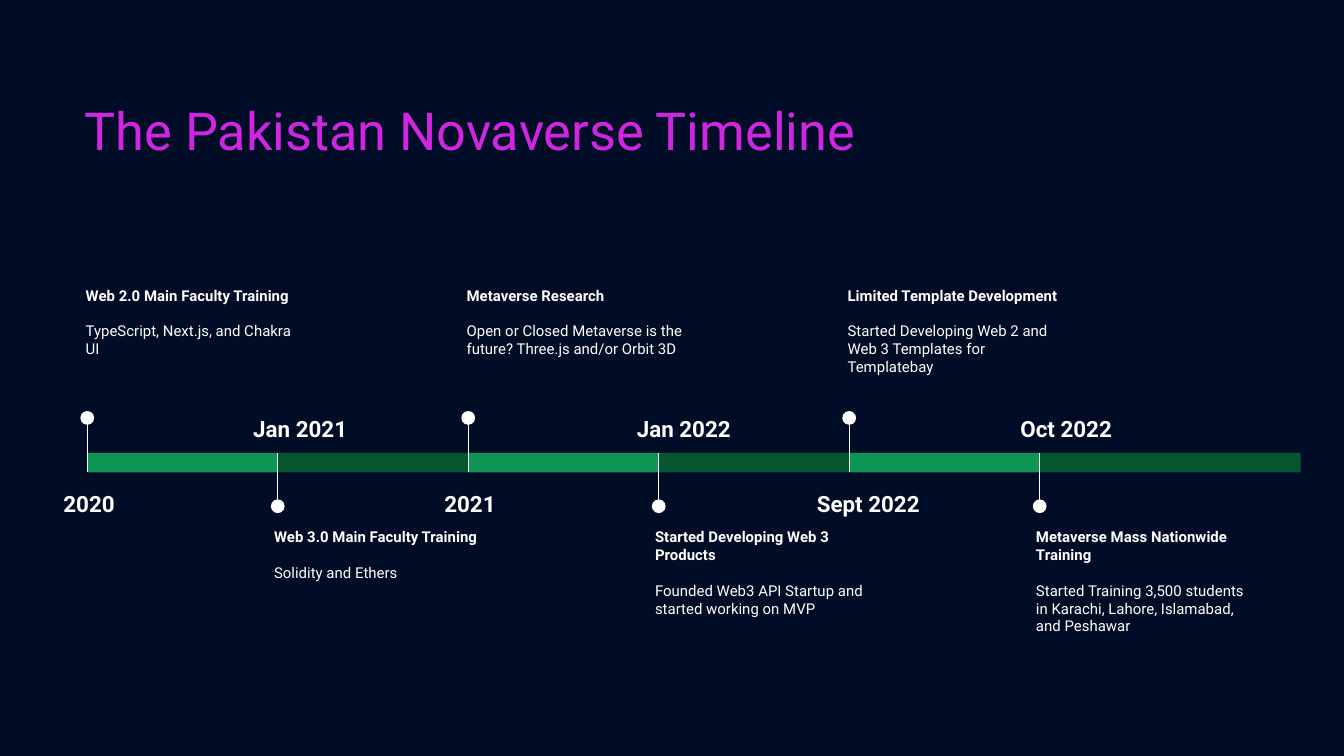
import dataclasses

import pptx
import pptx.dml.color
import pptx.enum.shapes
import pptx.enum.text
import pptx.oxml.ns
import pptx.util
from lxml import etree
from pptx.util import Cm

FONT = "Roboto"
NAVY, WHITE, MAGENTA = "010D26", "FFFFFF", "D026E1"
BAR_COLORS = ("0E9453", "085631")

# Timeline geometry in centimetres
BAR_LEFT, BAR_TOP, BAR_STEP, BAR_HEIGHT = 1.65, 8.56, 3.6, 0.37
LAST_BAR_WIDTH = 4.93
DOT_SIZE = 0.26


@dataclasses.dataclass
class Milestone:
    date: str
    date_offset: float
    date_width: float
    heading: str
    detail: str


@dataclasses.dataclass
class Side:
    date_top: float
    text_top: float
    text_offset: float
    dot_y: float
    pin_end: float


# Milestones alternate: described above the bar, then below it
SIDES = (
    Side(8.94, 5.16, -0.28, 7.9, BAR_TOP + BAR_HEIGHT),
    Side(7.52, 9.73, -0.32, 9.57, BAR_TOP),
)

MILESTONES = (
    Milestone("2020", -0.93, 1.93, "Web 2.0 Main Faculty Training",
              "TypeScript, Next.js, and Chakra UI"),
    Milestone("Jan 2021", -1.01, 2.87, "Web 3.0 Main Faculty Training",
              "Solidity and Ethers"),
    Milestone("2021", -0.93, 1.93, "Metaverse Research",
              "Open or Closed Metaverse is the future? Three.js and/or Orbit 3D"),
    Milestone("Jan 2022", -1.01, 2.97, "Started Developing Web 3 Products",
              "Founded Web3 API Startup and started working on MVP"),
    Milestone("Sept 2022", -1.01, 2.74, "Limited Template Development",
              "Started Developing Web 2 and Web 3 Templates for Templatebay"),
    Milestone("Oct 2022", -1.01, 3.02, "Metaverse Mass Nationwide Training",
              "Started Training 3,500 students in Karachi, Lahore, Islamabad, and Peshawar"),
)


def color(hex_value):
    return pptx.dml.color.RGBColor.from_string(hex_value)


def add_filled_shape(shapes, kind, left, top, width, height, fill):
    shape = shapes.add_shape(kind, Cm(left), Cm(top), Cm(width), Cm(height))
    shape.shadow.inherit = False
    shape.fill.solid()
    shape.fill.fore_color.rgb = color(fill)
    shape.line.fill.background()


def add_pin(shapes, x, start, end):
    connector = shapes.add_connector(
        pptx.enum.shapes.MSO_CONNECTOR.STRAIGHT, Cm(x), Cm(start), Cm(x), Cm(end))
    connector.line.color.rgb = color(WHITE)
    connector.line.width = pptx.util.Pt(0.75)
    properties = connector._element.spPr
    etree.SubElement(properties, pptx.oxml.ns.qn("a:effectLst"))


def add_text_box(shapes, left, top, width, height):
    frame = shapes.add_textbox(Cm(left), Cm(top), Cm(width), Cm(height)).text_frame
    frame.word_wrap = True
    frame.margin_left = frame.margin_right = Cm(0.25)
    frame.margin_top = frame.margin_bottom = Cm(0.25)
    return frame


def add_run(paragraph, text, size, fill=WHITE, bold=False):
    run = paragraph.add_run()
    run.text = text
    run.font.name = FONT
    run.font.size = pptx.util.Pt(size)
    run.font.bold = bold
    run.font.color.rgb = color(fill)


def add_title(shapes, text):
    frame = add_text_box(shapes, 1.35, 1.65, 21.8, 1.6)
    frame.vertical_anchor = pptx.enum.text.MSO_ANCHOR.MIDDLE
    add_run(frame.paragraphs[0], text, 28, MAGENTA)


def add_date(shapes, left, top, width, text):
    paragraph = add_text_box(shapes, left, top, width, 1.04).paragraphs[0]
    paragraph.alignment = pptx.enum.text.PP_ALIGN.CENTER
    paragraph.line_spacing = 1.15
    add_run(paragraph, text, 12, bold=True)


def add_description(shapes, left, top, heading, detail):
    frame = add_text_box(shapes, left, top, 4.67, 2.62)
    add_run(frame.paragraphs[0], heading, 8, bold=True)
    paragraph = frame.add_paragraph()
    paragraph.space_before = pptx.util.Pt(9.4)
    add_run(paragraph, detail, 8)


def add_milestone(shapes, index, milestone):
    side = SIDES[index % 2]
    x = BAR_LEFT + index * BAR_STEP
    is_last = index == len(MILESTONES) - 1
    kinds = pptx.enum.shapes.MSO_SHAPE

    # Bar segment
    add_filled_shape(shapes, kinds.RECTANGLE, x, BAR_TOP,
                     LAST_BAR_WIDTH if is_last else BAR_STEP, BAR_HEIGHT,
                     BAR_COLORS[index % 2])
    # Pin with its dot
    add_pin(shapes, x, side.dot_y, side.pin_end)
    add_filled_shape(shapes, kinds.OVAL, x - DOT_SIZE / 2, side.dot_y - DOT_SIZE / 2,
                     DOT_SIZE, DOT_SIZE, WHITE)
    # Date and description
    add_date(shapes, x + milestone.date_offset, side.date_top,
             milestone.date_width, milestone.date)
    add_description(shapes, x + side.text_offset, side.text_top,
                    milestone.heading, milestone.detail)


def main():
    presentation = pptx.Presentation()
    presentation.slide_width, presentation.slide_height = Cm(25.4), Cm(14.29)
    slide = presentation.slides.add_slide(presentation.slide_layouts[6])
    slide.background.fill.solid()
    slide.background.fill.fore_color.rgb = color(NAVY)

    # One group for each milestone, in order, so later pins lie over earlier bars
    for index, milestone in enumerate(MILESTONES):
        add_milestone(slide.shapes.add_group_shape().shapes, index, milestone)
    add_title(slide.shapes, "The Pakistan Novaverse Timeline")

    presentation.save("out.pptx")


if __name__ == "__main__":
    main()
